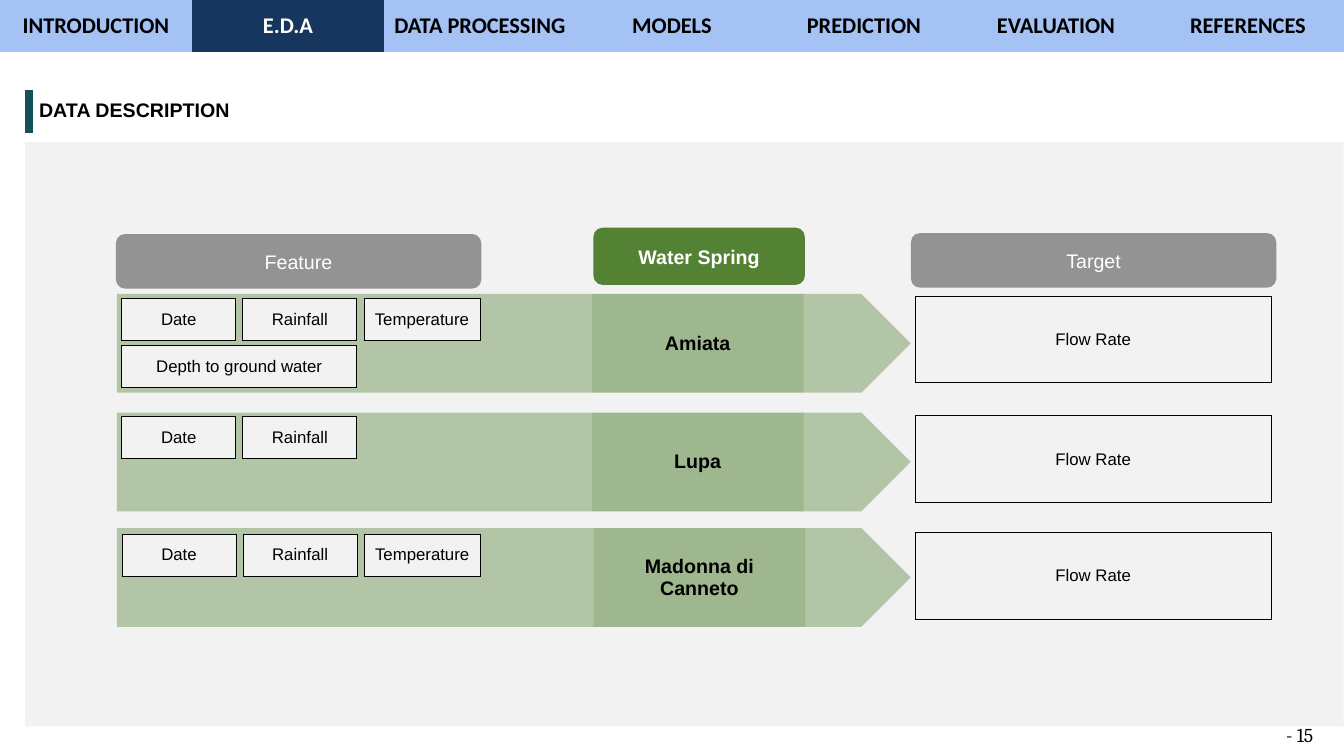
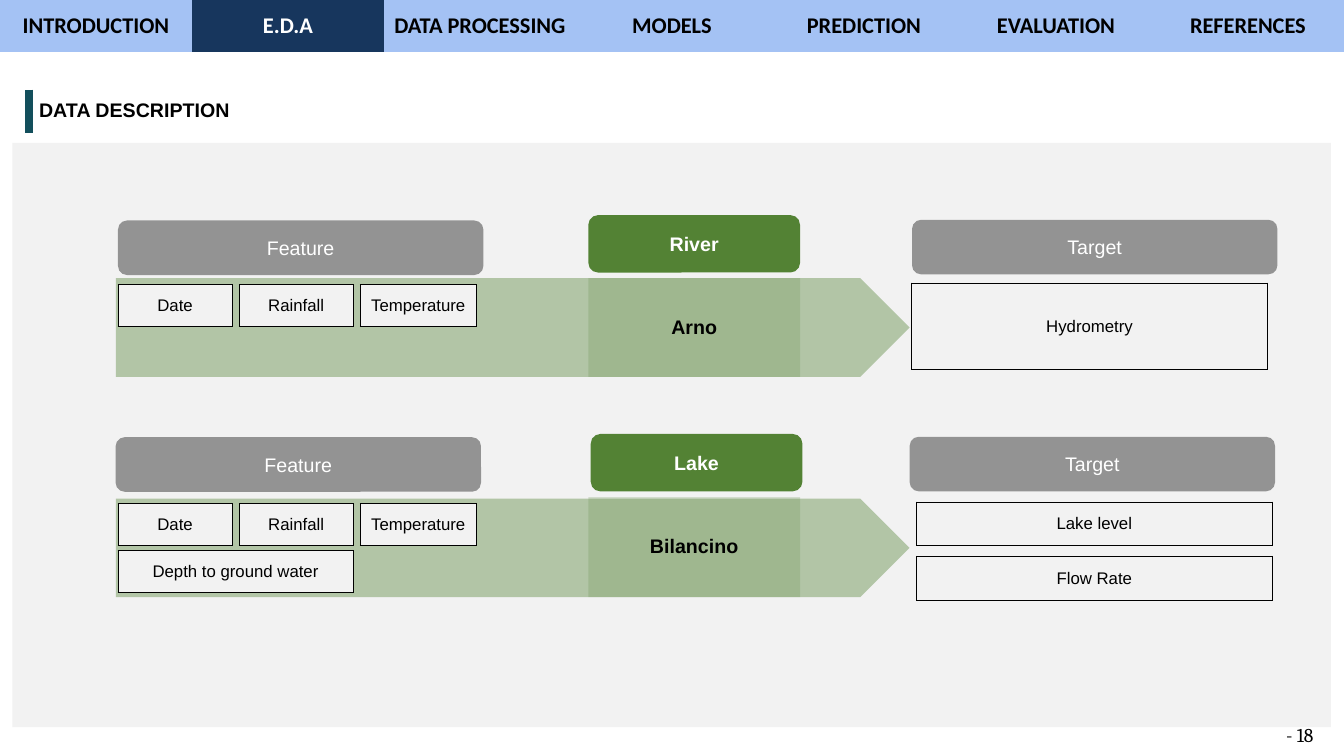
from dataclasses import dataclass
from typing import Optional

from pptx import Presentation
from pptx.dml.color import RGBColor
from pptx.enum.shapes import MSO_SHAPE
from pptx.enum.text import MSO_ANCHOR, PP_ALIGN
from pptx.oxml import parse_xml
from pptx.oxml.ns import nsdecls, qn
from pptx.util import Pt

RECT = MSO_SHAPE.RECTANGLE
ROUND_RECT = MSO_SHAPE.ROUNDED_RECTANGLE
ARROW = MSO_SHAPE.PENTAGON
TOP, MIDDLE = MSO_ANCHOR.TOP, MSO_ANCHOR.MIDDLE
LEFT, CENTER = PP_ALIGN.LEFT, PP_ALIGN.CENTER

BLACK = RGBColor(0x00, 0x00, 0x00)
WHITE = RGBColor(0xFF, 0xFF, 0xFF)
PANEL = RGBColor(0xF2, 0xF2, 0xF2)
GREEN = RGBColor(0x53, 0x82, 0x34)
GREY = RGBColor(0x93, 0x93, 0x93)
TEAL = RGBColor(0x13, 0x4F, 0x5C)
NAV_BLUE = RGBColor(0xA4, 0xC2, 0xF4)
NAV_ACTIVE = RGBColor(0x17, 0x36, 0x5D)

SLIDE_W, SLIDE_H = 960, 540
NO_STYLE = "{2D5ABB26-0587-4C30-8999-92F81FD0307C}"
ALL_SIDES = ("L", "R", "T", "B")
SECTIONS = ("INTRODUCTION", "E.D.A", "DATA PROCESSING", "MODELS",
            "PREDICTION", "EVALUATION", "REFERENCES")
ACTIVE_SECTION = "E.D.A"

TITLE_COLUMNS = (221, 16.5, 672.5)
PANEL_W, PANEL_H = 941.8, 417.4
ARROW_W, ARROW_H = 567, 70.5
NAME_W = 151.2
CHIP_W, CHIP_H = 81.4, 30
CHIP_PITCH_X, CHIP_PITCH_Y = 86.5, 33.6
TARGET_W, TARGET_H = 254.2, 61.8
TARGET_SPLIT_H, TARGET_PITCH = 31.2, 38.7
HEADING_W, HEADING_H = 261, 39
SUBJECT_H = 41


@dataclass(frozen=True)
class TextStyle:
    font: str
    size: float
    color: RGBColor = BLACK
    bold: bool = False
    align: PP_ALIGN = CENTER


@dataclass(frozen=True)
class Point:
    left: float
    top: float


@dataclass(frozen=True)
class Headings:
    subject: str
    feature_at: Point
    subject_at: Point
    target_at: Point


@dataclass(frozen=True)
class Track:
    """One data source: its features, its name on the arrow, its targets."""
    name: str
    arrow_at: Point
    name_at: Point
    chips_at: Point
    target_at: Point
    chips: tuple[str, ...]
    targets: tuple[str, ...]
    wide_chip: str = ""
    name_h: float = ARROW_H


@dataclass(frozen=True)
class DataSlide:
    number: int
    panel_at: Point
    headings: tuple[Headings, ...]
    tracks: tuple[Track, ...]


NAV = TextStyle("Calibri", 16, bold=True)
NAV_ON = TextStyle("Calibri", 16, WHITE, True)
TITLE = TextStyle("Arial", 14, bold=True, align=LEFT)
NAME = TextStyle("Arial", 14, bold=True)
CHIP = TextStyle("Arial", 12)
HEADING = TextStyle("Arial", 14, WHITE)
SUBJECT = TextStyle("Arial", 14, WHITE, True)
PAGE = TextStyle("Cambria", 14, align=LEFT)

BASIC_CHIPS = ("Date", "Rainfall")
WEATHER_CHIPS = BASIC_CHIPS + ("Temperature",)
DEPTH = "Depth to ground water"

SLIDES = (
    DataSlide(
        15, Point(18, 101.5),
        (Headings("Water Spring", Point(82.8, 167.2), Point(423.8, 162.6),
                  Point(650.7, 166.5)),),
        (
            Track("Amiata", Point(83.5, 210), Point(422.8, 210),
                  Point(87, 213.2), Point(653.8, 211.6),
                  WEATHER_CHIPS, ("Flow Rate",), DEPTH),
            Track("Lupa", Point(83.5, 294.7), Point(422.8, 294.7),
                  Point(87, 297.4), Point(653.8, 297.1),
                  BASIC_CHIPS, ("Flow Rate",)),
            Track("Madonna di Canneto", Point(83.5, 377.2), Point(424, 377.2),
                  Point(87.2, 381.5), Point(653.8, 380.6),
                  WEATHER_CHIPS, ("Flow Rate",)),
        ),
    ),
    DataSlide(
        18, Point(8.8, 102),
        (
            Headings("River", Point(84.3, 157.5), Point(420.3, 153.7),
                     Point(651.5, 157)),
            Headings("Lake", Point(82.6, 312.3), Point(422, 310),
                     Point(649.8, 312)),
        ),
        (
            Track("Arno", Point(82.7, 198.7), Point(420.3, 198.7),
                  Point(84.4, 203.2), Point(651.2, 202.2),
                  WEATHER_CHIPS, ("Hydrometry",)),
            Track("Bilancino", Point(82.7, 356.1), Point(420.3, 355),
                  Point(84.4, 359.8), Point(654.6, 358.7),
                  WEATHER_CHIPS, ("Lake level", "Flow Rate"), DEPTH, 71.6),
        ),
    ),
)


def write(tf, text: str, style: TextStyle) -> None:
    p = tf.paragraphs[0]
    p.alignment = style.align
    r = p.add_run()
    r.text = text
    r.font.name = style.font
    r.font.size = Pt(style.size)
    r.font.bold = style.bold
    r.font.color.rgb = style.color


def set_fill(fill, color: Optional[RGBColor], opacity: int = 100) -> None:
    if color is None:
        fill.background()
        return
    fill.solid()
    fill.fore_color.rgb = color
    if opacity < 100:
        clr = fill._xPr.find(f"{qn('a:solidFill')}/{qn('a:srgbClr')}")
        clr.append(parse_xml(
            f'<a:alpha {nsdecls("a")} val="{opacity * 1000}"/>'))


def add_block(slide, kind, at: Point, width: float, height: float,
              color: RGBColor, opacity: int = 100, text: str = "",
              style: TextStyle = HEADING) -> None:
    sp = slide.shapes.add_shape(kind, Pt(at.left), Pt(at.top),
                                Pt(width), Pt(height))
    sp.shadow.inherit = False
    set_fill(sp.fill, color, opacity)
    sp.line.fill.background()
    if text:
        sp.text_frame.vertical_anchor = MIDDLE
        write(sp.text_frame, text, style)


def add_plain_table(slide, at: Point, widths: tuple[float, ...],
                    height: float):
    """Add a one-row table without a style and return its cells."""
    frame = slide.shapes.add_table(1, len(widths), Pt(at.left), Pt(at.top),
                                   Pt(sum(widths)), Pt(height))
    table = frame.table
    table.first_row = table.horz_banding = False
    next(frame._element.iter(qn("a:tableStyleId"))).text = NO_STYLE
    for column, width in zip(table.columns, widths):
        column.width = Pt(width)
    return list(table.rows[0].cells)


def fill_cell(cell, text: str, style: TextStyle, color: Optional[RGBColor],
              opacity: int = 100, margin: float = 3.6) -> None:
    cell.margin_left = cell.margin_right = Pt(margin)
    cell.margin_top = cell.margin_bottom = Pt(margin)
    cell.vertical_anchor = MIDDLE
    set_fill(cell.fill, color, opacity)
    write(cell.text_frame, text, style)


def set_borders(cell, sides: tuple[str, ...], color: RGBColor,
                width: float) -> None:
    tc_pr = cell._tc.get_or_add_tcPr()
    for i, side in enumerate(sides):
        tc_pr.insert(i, parse_xml(
            f'<a:ln{side} {nsdecls("a")} w="{int(Pt(width))}"><a:solidFill>'
            f'<a:srgbClr val="{color}"/></a:solidFill></a:ln{side}>'))


def add_label(slide, text: str, at: Point, width: float, height: float,
              color: Optional[RGBColor] = None) -> None:
    """Add an outlined one-cell table."""
    cell = add_plain_table(slide, at, (width,), height)[0]
    fill_cell(cell, text, CHIP, color)
    set_borders(cell, ALL_SIDES, BLACK, 0.75)


def add_track(slide, track: Track) -> None:
    add_block(slide, ARROW, track.arrow_at, ARROW_W, ARROW_H, GREEN, 40)
    name_cell = add_plain_table(slide, track.name_at, (NAME_W,),
                                track.name_h)[0]
    fill_cell(name_cell, track.name, NAME, GREEN, 20, 7.2)

    left, top = track.chips_at.left, track.chips_at.top
    for i, chip in enumerate(track.chips):
        add_label(slide, chip, Point(left + i * CHIP_PITCH_X, top),
                  CHIP_W + (1.5 if i == 2 else 0), CHIP_H, PANEL)
    if track.wide_chip:
        add_label(slide, track.wide_chip, Point(left, top + CHIP_PITCH_Y),
                  CHIP_W + CHIP_PITCH_X, CHIP_H, PANEL)

    height = TARGET_H if len(track.targets) == 1 else TARGET_SPLIT_H
    for i, target in enumerate(track.targets):
        at = Point(track.target_at.left,
                   track.target_at.top + i * TARGET_PITCH)
        add_label(slide, target, at, TARGET_W, height)


def add_headings(slide, headings: Headings) -> None:
    add_block(slide, ROUND_RECT, headings.subject_at, NAME_W, SUBJECT_H,
              GREEN, text=headings.subject, style=SUBJECT)
    for text, at in (("Feature", headings.feature_at),
                     ("Target", headings.target_at)):
        add_block(slide, ROUND_RECT, at, HEADING_W, HEADING_H, GREY, text=text)


def add_navigation(slide) -> None:
    widths = (SLIDE_W / len(SECTIONS),) * len(SECTIONS)
    cells = add_plain_table(slide, Point(0, 0), widths, 37.4)
    for cell, section in zip(cells, SECTIONS):
        active = section == ACTIVE_SECTION
        fill_cell(cell, section, NAV_ON if active else NAV,
                  NAV_ACTIVE if active else NAV_BLUE, margin=2.9)


def add_title(slide, text: str) -> None:
    cell = add_plain_table(slide, Point(20.7, 64), TITLE_COLUMNS, 30.6)[0]
    fill_cell(cell, text, TITLE, None, margin=7.2)
    cell.vertical_anchor = TOP
    set_borders(cell, ("L",), TEAL, 6)


def add_page_number(slide, number: int) -> None:
    box = slide.shapes.add_textbox(Pt(911.5), Pt(512.6), Pt(40), Pt(24.5))
    box.text_frame.word_wrap = True
    write(box.text_frame, f"- {number}", PAGE)


def build_slide(prs, data: DataSlide) -> None:
    slide = prs.slides.add_slide(prs.slide_layouts[6])
    add_block(slide, RECT, data.panel_at, PANEL_W, PANEL_H, PANEL)
    add_page_number(slide, data.number)
    add_title(slide, "DATA DESCRIPTION")
    for track in data.tracks:
        add_track(slide, track)
    add_navigation(slide)
    for headings in data.headings:
        add_headings(slide, headings)


def main() -> None:
    prs = Presentation()
    prs.slide_width, prs.slide_height = Pt(SLIDE_W), Pt(SLIDE_H)
    for data in SLIDES:
        build_slide(prs, data)
    prs.save("out.pptx")


if __name__ == "__main__":
    main()
